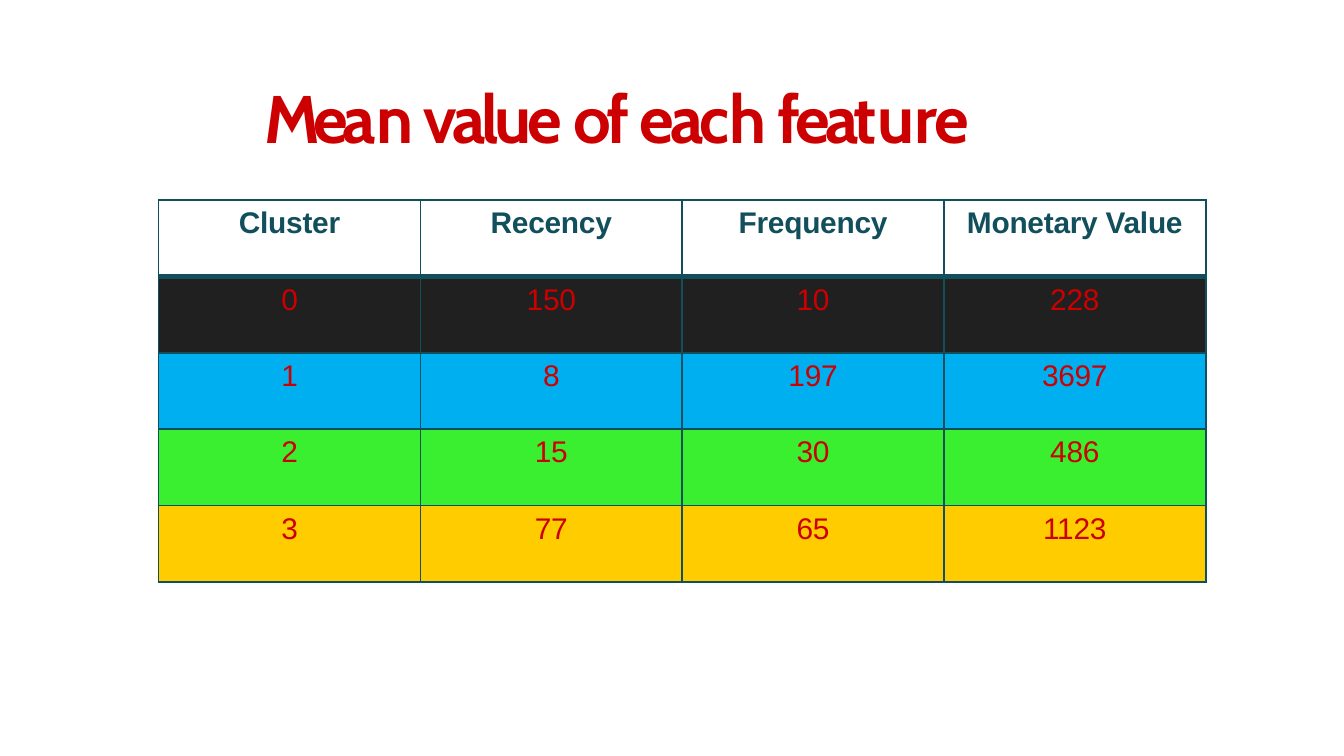
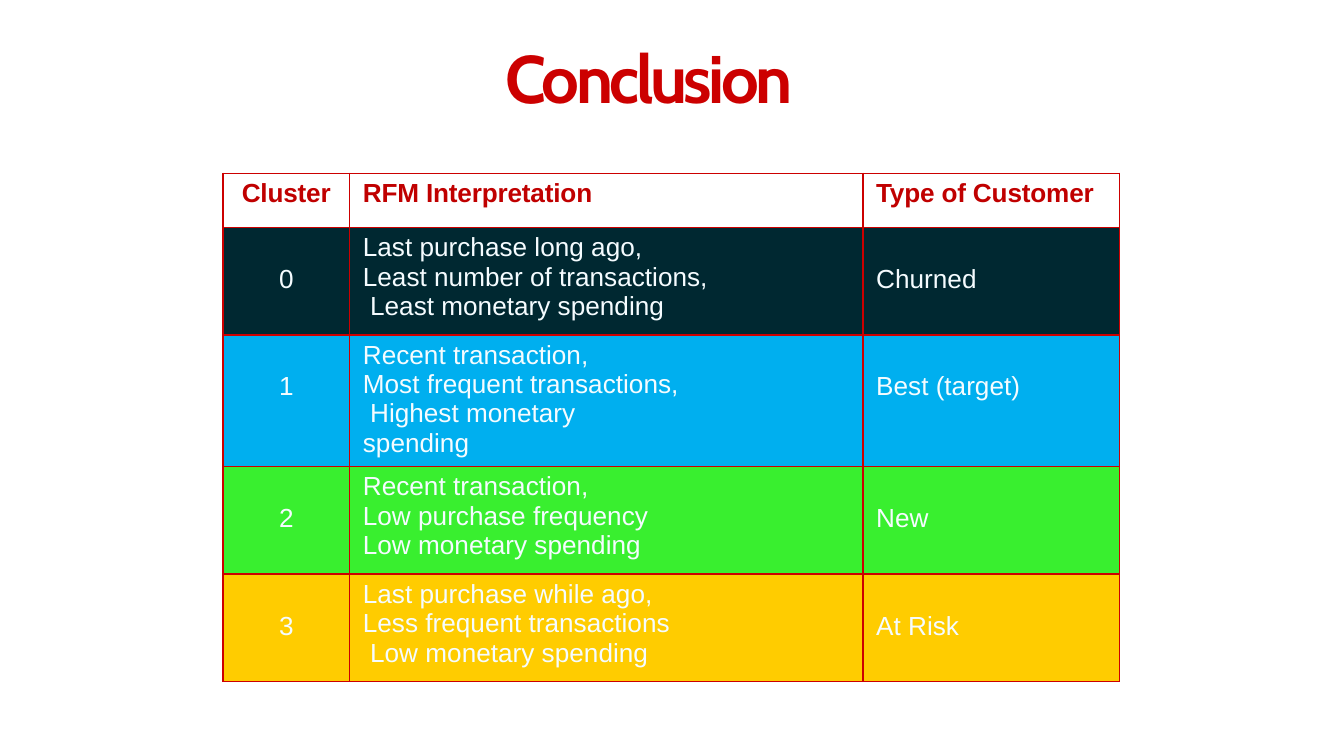
from pptx import Presentation as Deck
from pptx.util import Pt
from pptx.dml.color import RGBColor as Rgb
from pptx.enum.text import PP_ALIGN as Align, MSO_ANCHOR as Anchor
from pptx.oxml.ns import qn
from lxml.etree import SubElement as Sub

HEX = {
    "red": "CC0000", "brick": "C00000", "teal": "124F5C", "pale": "F5FCFF",
    "black": "202020", "night": "002831", "blue": "00AFEF",
    "green": "39EF2F", "gold": "FFCC00",
}
TITLE = {"name": "Cabin", "size": Pt(36), "bold": True}
HEAD = {"name": "Arial", "bold": True}
BODY = {"name": "Arial", "bold": False}


def apply(item, vals):
    for key, val in vals.items():
        setattr(item, key, val)


class Show:
    """Holds the deck style and the current slide."""

    def __init__(self):
        self.deck = Deck()
        apply(self.deck, {"slide_width": Pt(720), "slide_height": Pt(405)})

    def page(self):
        self.slide = self.deck.slides.add_slide(self.deck.slide_layouts[6])

    def run(self, para, text, form, tint, gap):
        run = para.add_run()
        run.text = text
        apply(run.font, form)
        run.font.color.rgb = Rgb.from_string(HEX[tint])
        run._r.get_or_add_rPr().set("spc", str(round(gap * 100)))

    def title(self, left, top, width, parts):
        box = self.slide.shapes.add_textbox(Pt(left), Pt(top), Pt(width), Pt(45))
        frame = box.text_frame
        apply(frame, {"word_wrap": True, "margin_left": Pt(0.7), "margin_top": Pt(0.7),
                      "margin_right": 0, "margin_bottom": 0})
        for text, gap in parts:
            self.run(frame.paragraphs[0], text, TITLE, "red", gap)

    def edge(self, cell, tint, wide):
        """Draw the four cell borders; wide maps a side to its width."""
        props = cell._tc.get_or_add_tcPr()
        for side in "LRTB":
            line = Sub(props, qn("a:ln" + side), w=str(Pt(wide.get(side, 1))))
            fill = Sub(line, qn("a:solidFill"))
            Sub(fill, qn("a:srgbClr"), val=HEX[tint])

    def cell(self, cell, text, form, tint, gap, back, mid, top):
        apply(cell, {"margin_left": 0 if mid else Pt(7.2), "margin_top": Pt(top),
                     "margin_right": 0, "margin_bottom": 0,
                     "vertical_anchor": Anchor.TOP})
        if back:
            cell.fill.solid()
            cell.fill.fore_color.rgb = Rgb.from_string(HEX[back])
        else:
            cell.fill.background()
        frame = cell.text_frame
        for num, line in enumerate(text.split("\n")):
            para = frame.add_paragraph() if num else frame.paragraphs[0]
            para.alignment = Align.CENTER if mid else Align.LEFT
            self.run(para, line, form, tint, gap)

    def table(self, left, top, cols, rows, data, backs, size, line, tints,
              mids, rule=1, gap=0, pad=3, drop=None):
        """Draw a table; drop is the top inset of one-line body cells."""
        grid = self.slide.shapes.add_table(
            len(rows), len(cols), Pt(left), Pt(top), Pt(sum(cols)), Pt(sum(rows))).table
        apply(grid, {"first_row": False, "horz_banding": False})
        for col, width in zip(grid.columns, cols):
            col.width = Pt(width)
        for row, high in zip(grid.rows, rows):
            row.height = Pt(high)
        for r, texts in enumerate(data):
            form = {**(BODY if r else HEAD), "size": Pt(size)}
            wide = {0: {"B": rule}, 1: {"T": rule}}.get(r, {})
            for c, text in enumerate(texts):
                cell = grid.cell(r, c)
                self.edge(cell, line, wide)
                inset = drop if drop and r and "\n" not in text else pad
                self.cell(cell, text, form, tints[min(r, 1)],
                          gap if r else -0.1, backs[r], c in mids, inset)


show = Show()

# Mean values
show.page()
show.title(141, 40.3, 438, [
    ("Mea", -3), ("n ", -2.7), ("value ", -2.2), ("of ", -2.5), ("eac", -2.1),
    ("h ", -2.3), ("feat", -2.5), ("u", -3.1), ("re", -1.2)])
show.table(
    85, 107.3, [140.25] * 4, [40.9] * 5,
    [("Cluster", "Recency", "Frequency", "Monetary Value"),
     ("0", "150", "10", "228"),
     ("1", "8", "197", "3697"),
     ("2", "15", "30", "486"),
     ("3", "77", "65", "1123")],
    [None, "black", "blue", "green", "gold"], 16, "teal", ("teal", "red"),
    mids=range(4), rule=3, gap=-0.1, pad=3.6)

# Conclusion
show.page()
show.title(270, 18.7, 180, [("Conclusion", -1.9)])
show.table(
    119.5, 92.9, [67.7, 275, 137.5], [29, 57.5, 70.6, 57.6, 57.6],
    [("Cluster", "RFM Interpretation", "Type of Customer"),
     ("0", "Last purchase long ago,\nLeast number of transactions,\n"
      " Least monetary spending", "Churned"),
     ("1", "Recent transaction,\nMost frequent transactions,\n"
      " Highest monetary\nspending", "Best (target)"),
     ("2", "Recent transaction,\nLow purchase frequency\n"
      "Low monetary spending", "New"),
     ("3", "Last purchase while ago,\nLess frequent transactions\n"
      " Low monetary spending", "At Risk")],
    [None, "night", "blue", "green", "gold"], 14, "red", ("brick", "pale"),
    mids=[0], drop=20)

show.deck.save("out.pptx")
